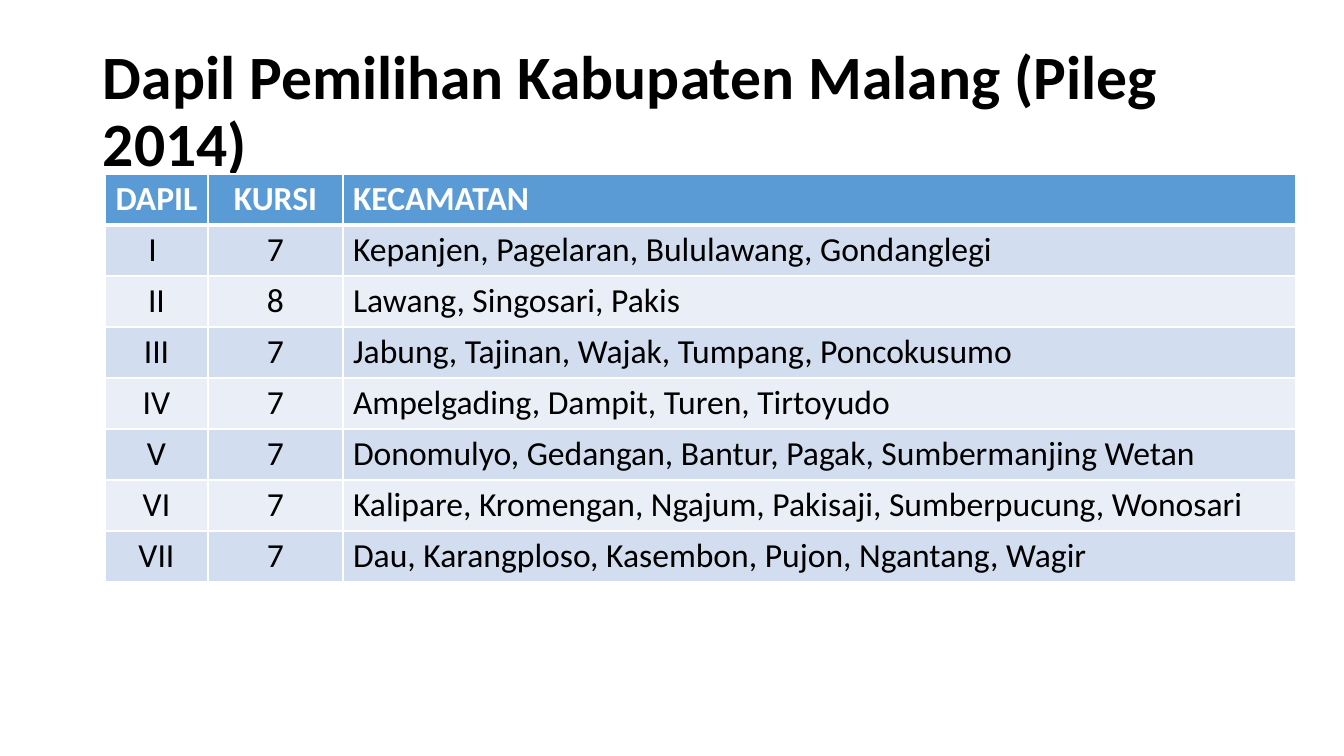
"""Build a slide listing the electoral districts of Kabupaten Malang."""
from lxml import etree
from pptx import Presentation
from pptx import util as u
from pptx.dml.color import RGBColor
from pptx.enum import text
from pptx.oxml.ns import qn

TITLE = "Dapil Pemilihan Kabupaten Malang (Pileg 2014)"
HEADER = ("DAPIL", "KURSI", "KECAMATAN")
DISTRICTS = [
    ("I ", "7", "Kepanjen, Pagelaran, Bululawang, Gondanglegi"),
    ("II", "8", "Lawang, Singosari, Pakis"),
    ("III", "7", "Jabung, Tajinan, Wajak, Tumpang, Poncokusumo"),
    ("IV", "7", "Ampelgading, Dampit, Turen, Tirtoyudo"),
    ("V", "7", "Donomulyo, Gedangan, Bantur, Pagak, Sumbermanjing Wetan"),
    ("VI", "7", "Kalipare, Kromengan, Ngajum, Pakisaji, Sumberpucung, Wonosari"),
    ("VII", "7", "Dau, Karangploso, Kasembon, Pujon, Ngantang, Wagir"),
]
SLIDE_SIZE = (1344, 756)
TITLE_BOX = (93, 40, 1204, 146)
TABLE_ORIGIN = (105, 174)
COLUMN_WIDTHS = (103, 135, 953)
ROW_HEIGHT = 51
ALIGNMENTS = (text.PP_ALIGN.CENTER, text.PP_ALIGN.CENTER, text.PP_ALIGN.LEFT)

BLACK = RGBColor(0x00, 0x00, 0x00)
WHITE = RGBColor(0xFF, 0xFF, 0xFF)
HEADER_BLUE = RGBColor(0x5B, 0x9B, 0xD5)
BANDS = (RGBColor(0xEA, 0xEF, 0xF7), RGBColor(0xD2, 0xDE, 0xEF))


def px(length):
    """Turn px into EMU."""
    return u.Emu(round(length * 914400 / 100.8))


def write(frame, words, size=24, color=BLACK, bold=False,
          align=text.PP_ALIGN.LEFT, spacing=1.0):
    """Put formatted words in a text frame."""
    paragraph = frame.paragraphs[0]
    paragraph.alignment = align
    paragraph.line_spacing = spacing
    run = paragraph.add_run()
    run.text = words
    run.font.name = "Calibri"
    run.font.size = u.Pt(size)
    run.font.bold = bold
    run.font.color.rgb = color


def add_borders(cell, top, bottom):
    """Draw white cell borders, with top and bottom widths in points."""
    properties = cell._tc.get_or_add_tcPr()
    for side, width in (("L", 1), ("R", 1), ("T", top), ("B", bottom)):
        line = etree.SubElement(properties, qn(f"a:ln{side}"), w=str(u.Pt(width)))
        fill = etree.SubElement(line, qn("a:solidFill"))
        etree.SubElement(fill, qn("a:srgbClr"), val=str(WHITE))


def add_title(slide):
    """Add the slide heading."""
    frame = slide.shapes.add_textbox(*map(px, TITLE_BOX)).text_frame
    frame.word_wrap = True
    frame.vertical_anchor = text.MSO_ANCHOR.MIDDLE
    write(frame, TITLE, size=44, bold=True, spacing=0.9)


def add_district_table(slide):
    """Add the table of districts, seats and subdistricts."""
    rows = [HEADER, *DISTRICTS]
    size = (sum(COLUMN_WIDTHS), ROW_HEIGHT * len(rows))
    table = slide.shapes.add_table(
        len(rows), len(HEADER), *map(px, TABLE_ORIGIN + size)).table
    for column, width in zip(table.columns, COLUMN_WIDTHS):
        column.width = px(width)
    for index, values in enumerate(rows):
        table.rows[index].height = px(ROW_HEIGHT)
        is_header = index == 0
        for cell, words, align in zip(table.rows[index].cells, values, ALIGNMENTS):
            add_borders(cell, top=3 if index == 1 else 1, bottom=3 if is_header else 1)
            cell.fill.solid()
            cell.fill.fore_color.rgb = HEADER_BLUE if is_header else BANDS[index % 2]
            write(cell.text_frame, words, color=WHITE if is_header else BLACK,
                  bold=is_header, align=align)


def main():
    """Build and save the presentation."""
    presentation = Presentation()
    presentation.slide_width, presentation.slide_height = map(px, SLIDE_SIZE)
    slide = presentation.slides.add_slide(presentation.slide_layouts[6])
    add_title(slide)
    add_district_table(slide)
    presentation.save("out.pptx")


if __name__ == "__main__":
    main()
